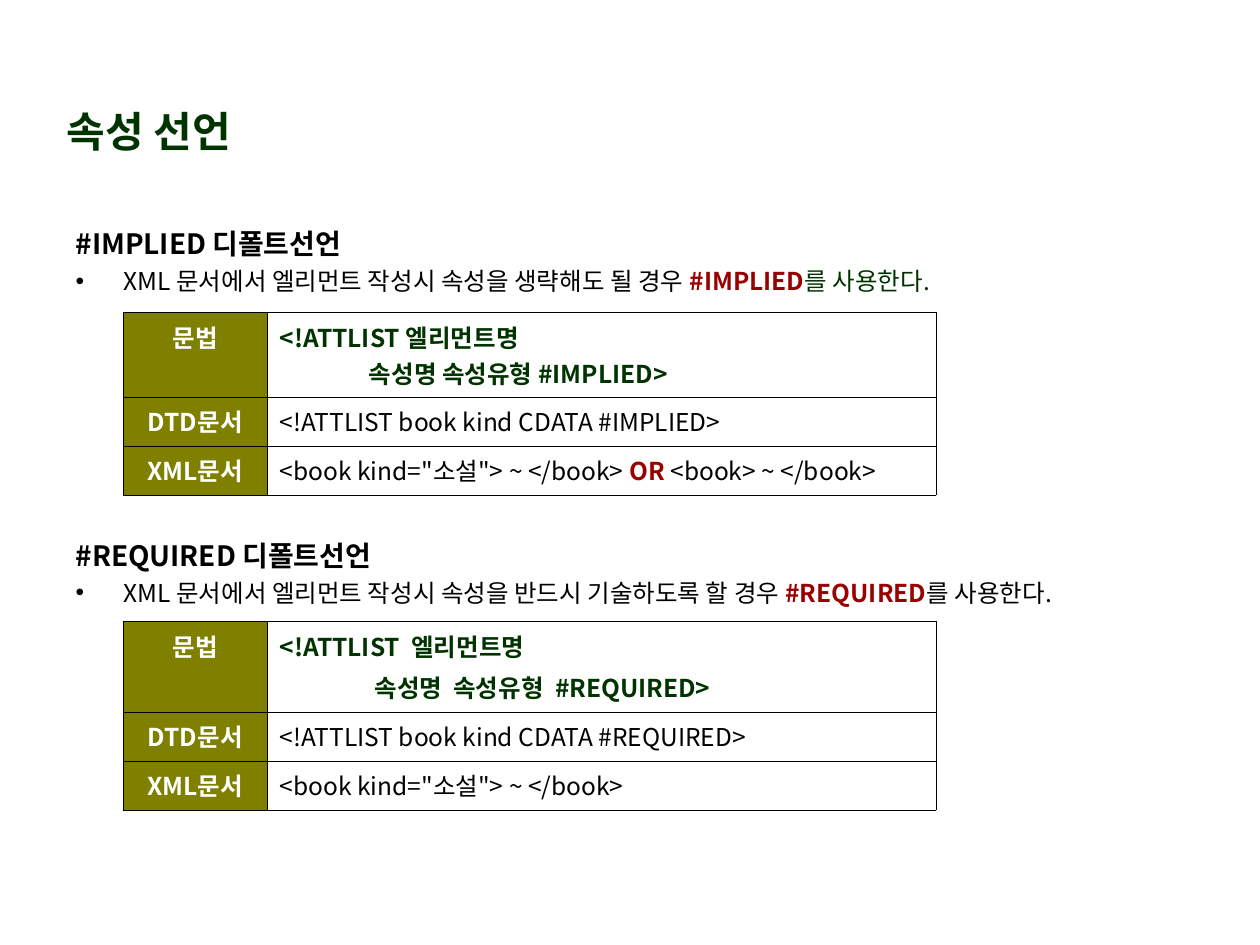
"""Build the slide on IMPLIED and REQUIRED attribute defaults in a DTD."""
from lxml import etree
from pptx import Presentation
from pptx import util as u
from pptx.dml import color
from pptx.enum import text
from pptx.oxml import ns

FONT = "Noto Sans CJK KR"
COLORS = {"ink": "000000", "green": "003300", "red": "990000", "olive": "808000", "white": "FFFFFF"}


def add_child(parent, tag, **attributes):
    return etree.SubElement(parent, ns.qn(tag), attributes)


def write(paragraph, runs, size, before=0, align=text.PP_ALIGN.LEFT):
    for name, value in {"alignment": align, "space_before": u.Pt(before), "line_spacing": 1.0}.items():
        setattr(paragraph, name, value)
    for words, tint, bold in runs:
        run = paragraph.add_run()
        run.text = words
        for name, value in {"name": FONT, "size": u.Pt(size), "bold": bold}.items():
            setattr(run.font, name, value)
        run.font.color.rgb = color.RGBColor.from_string(COLORS[tint])
        add_child(run.font._element, "a:ea", typeface=FONT)


sections = [
    {
        "keyword": "#IMPLIED", "top": 1.75, "height": 0.66, "table_top": 2.48, "syntax_height": 0.67,
        "usage": "XML 문서에서 엘리먼트 작성시 속성을 생략해도 될 경우 ", "ending": "green",
        "syntax": ["<!ATTLIST 엘리먼트명", "                속성명 속성유형 #IMPLIED>"], "syntax_gap": 0,
        "example": [('<book kind="소설"> ~ </book> ', "ink", False), ("OR ", "red", True),
                    ("<book> ~ </book>", "ink", False)],
    },
    {
        "keyword": "#REQUIRED", "top": 4.22, "height": 0.63, "table_top": 4.93, "syntax_height": 0.72,
        "usage": "XML 문서에서 엘리먼트 작성시 속성을 반드시 기술하도록 할 경우 ", "ending": "ink",
        "syntax": ["<!ATTLIST  엘리먼트명", "                 속성명  속성유형  #REQUIRED>"], "syntax_gap": 3.5,
        "example": [('<book kind="소설"> ~ </book>', "ink", False)],
    },
]

deck = Presentation()
deck.slide_width, deck.slide_height = u.Inches(10), u.Inches(7.5)
slide = deck.slides.add_slide(deck.slide_layouts[3])
heading, *explanations = slide.placeholders

places = [(0.43, 0.76, 4.41, 0.55)] + [(0.5, part["top"], 8.99, part["height"]) for part in sections]
anchors = [text.MSO_ANCHOR.MIDDLE, text.MSO_ANCHOR.TOP, text.MSO_ANCHOR.TOP]
for holder, place, anchor in zip([heading, *explanations], places, anchors):
    for name, value in zip(("left", "top", "width", "height"), place):
        setattr(holder, name, u.Inches(value))
    frame_format = {"auto_size": text.MSO_AUTO_SIZE.NONE, "word_wrap": True, "vertical_anchor": anchor}
    for name, value in frame_format.items():
        setattr(holder.text_frame, name, value)

write(heading.text_frame.paragraphs[0], [("속성 선언", "green", True)], 24)

for part, explanation in zip(sections, explanations):
    keyword = part["keyword"]
    topic = explanation.text_frame.paragraphs[0]
    usage = explanation.text_frame.add_paragraph()
    for paragraph in (topic, usage):
        properties = paragraph._p.get_or_add_pPr()
        properties.set("marL", str(u.Inches(0.38)))
        properties.set("indent", str(-u.Inches(0.38)))
    add_child(topic._p.pPr, "a:buNone")
    add_child(add_child(usage._p.pPr, "a:buClr"), "a:srgbClr", val=COLORS["ink"])
    add_child(usage._p.pPr, "a:buChar", char="•")
    write(topic, [(f"{keyword} 디폴트선언", "ink", True)], 16)
    write(usage, [(part["usage"], "ink", False), (keyword, "red", True),
                  ("를 사용한다.", part["ending"], False)], 14, before=3.5)

    row_heights = [part["syntax_height"], 0.39, 0.39]
    grid = slide.shapes.add_table(3, 2, u.Inches(0.98), u.Inches(part["table_top"]),
                                  u.Inches(6.45), u.Inches(sum(row_heights))).table
    grid.first_row = grid.horz_banding = False
    for column, width in zip(grid.columns, (1.14, 5.31)):
        column.width = u.Inches(width)
    for row, height in zip(grid.rows, row_heights):
        row.height = u.Inches(height)

    for cell in grid.iter_cells():
        cell_properties = cell._tc.get_or_add_tcPr()
        for side in ("a:lnL", "a:lnR", "a:lnT", "a:lnB"):
            border = add_child(cell_properties, side, w=str(u.Pt(0.45)))
            add_child(add_child(border, "a:solidFill"), "a:srgbClr", val=COLORS["ink"])

    contents = [
        [[(line, "green", True)] for line in part["syntax"]],
        [[(f"<!ATTLIST book kind CDATA {keyword}>", "ink", False)]],
        [part["example"]],
    ]
    for row, label, lines in zip(grid.rows, ("문법", "DTD문서", "XML문서"), contents):
        label_cell, code_cell = row.cells
        label_cell.fill.solid()
        label_cell.fill.fore_color.rgb = color.RGBColor.from_string(COLORS["olive"])
        code_cell.fill.background()
        write(label_cell.text_frame.paragraphs[0], [(label, "white", True)], 14, align=text.PP_ALIGN.CENTER)
        write(code_cell.text_frame.paragraphs[0], lines[0], 14)
        for line in lines[1:]:
            write(code_cell.text_frame.add_paragraph(), line, 14, before=part["syntax_gap"])

deck.save("out.pptx")
